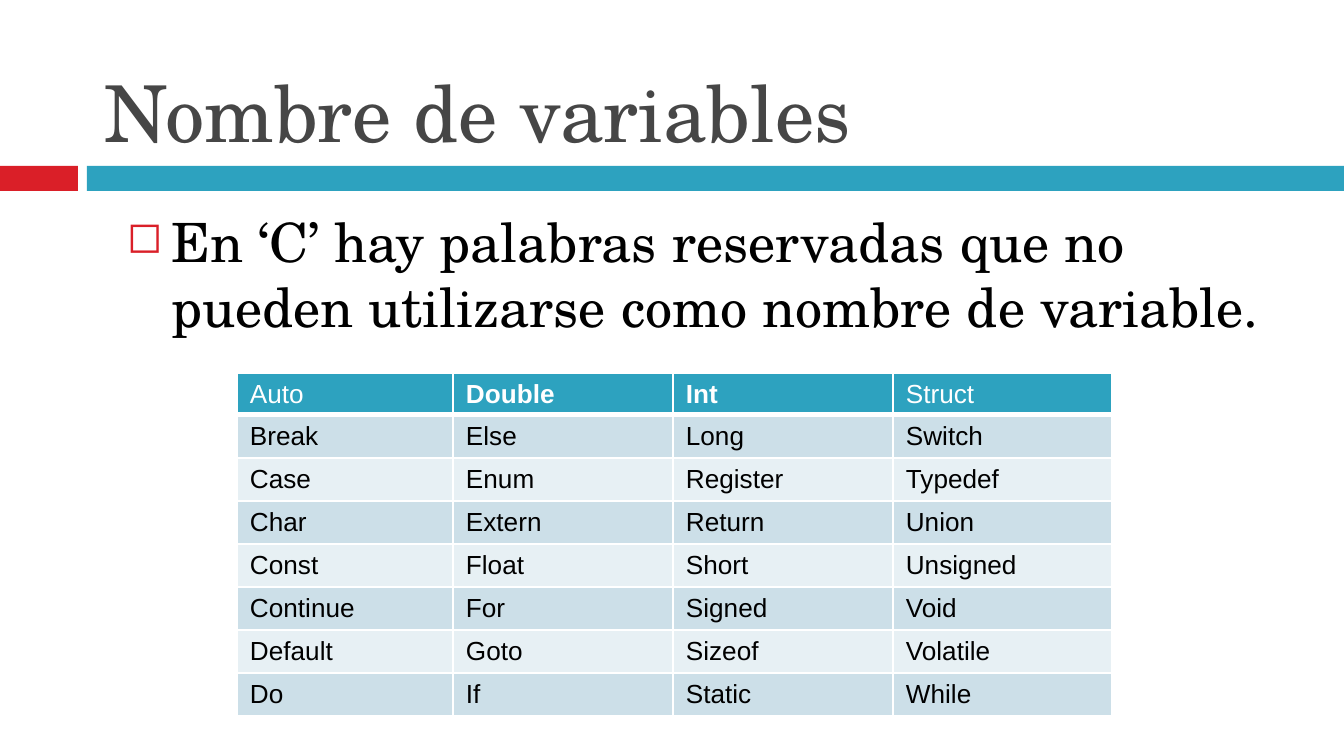
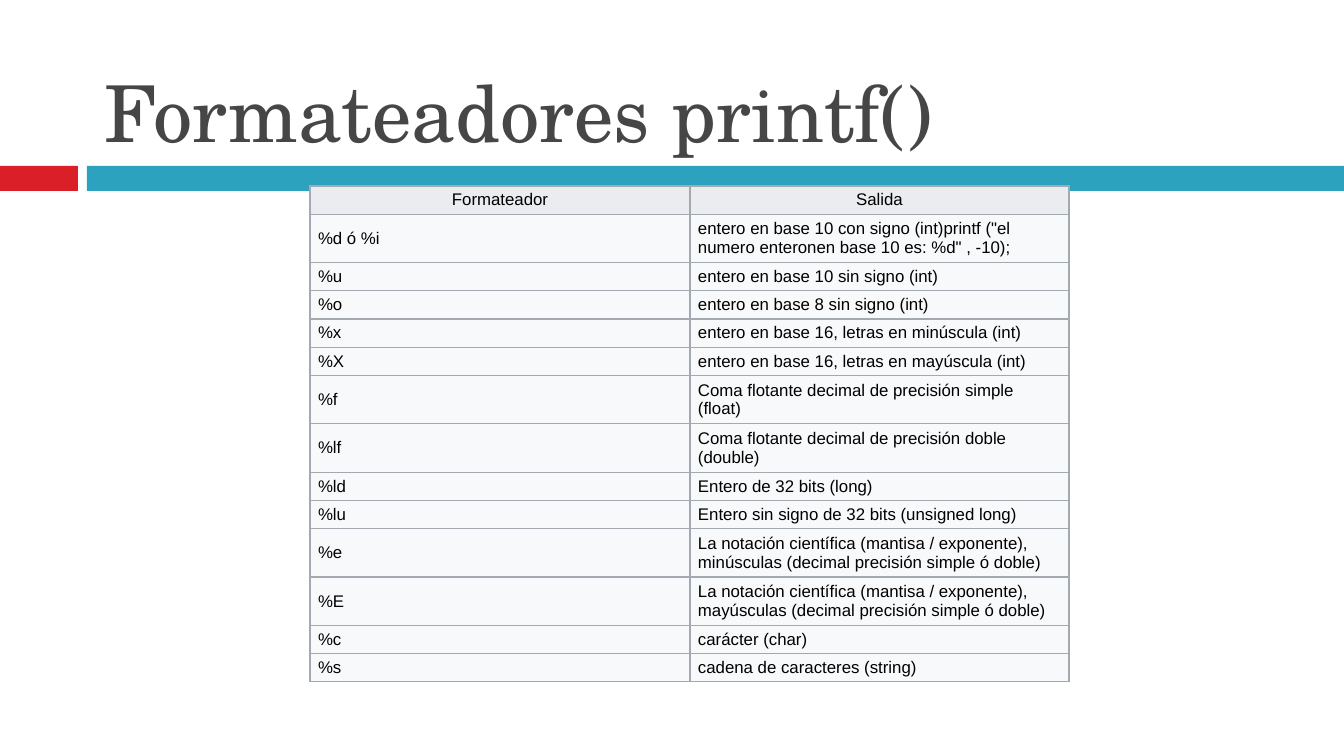
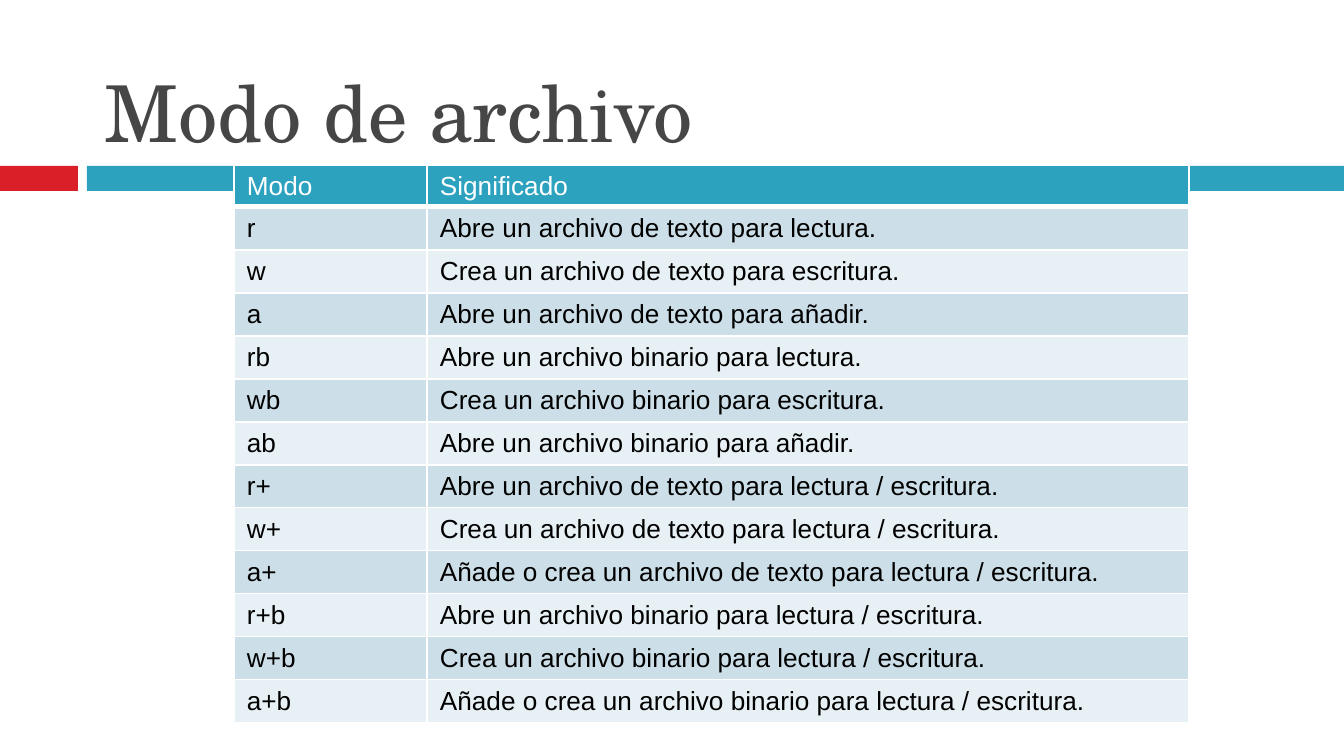
from dataclasses import dataclass

from lxml import etree
from pptx import Presentation
from pptx import util as u
from pptx.dml.color import RGBColor
from pptx.enum import shapes, text
from pptx.oxml import ns

EMU_PER_PX = 914400 / 134.4
WIDTH, HEIGHT = 1344, 756

WHITE = RGBColor(0xFF, 0xFF, 0xFF)
BLACK = RGBColor(0x00, 0x00, 0x00)
RED = RGBColor(0xDA, 0x1F, 0x28)
TEAL = RGBColor(0x2D, 0xA2, 0xBF)
TITLE_GREY = RGBColor(0x46, 0x46, 0x46)
BAND_DARK = RGBColor(0xCC, 0xDF, 0xE8)
BAND_LIGHT = RGBColor(0xE7, 0xF0, 0xF4)
WIKI_HEAD = RGBColor(0xEA, 0xEC, 0xF0)
WIKI_BODY = RGBColor(0xF8, 0xF9, 0xFA)
WIKI_LINE = RGBColor(0xA2, 0xA9, 0xB1)

SERIF, SANS = "TeX Gyre Schola", "Arial"
TITLE_BOX = (91, 17, 1198, 148)
BODY_BOX = (91, 201, 1198, 481)


@dataclass
class TableStyle:
    head_fill: RGBColor
    body_fills: tuple
    head_color: RGBColor
    line_color: RGBColor
    line: float
    head_line: float
    size: int
    inset: tuple
    anchor: text.MSO_ANCHOR
    head_align: text.PP_ALIGN


BANDED = TableStyle(TEAL, (BAND_DARK, BAND_LIGHT), WHITE, WHITE, 1, 3, 14, (13, 7, 3),
                    text.MSO_ANCHOR.TOP, text.PP_ALIGN.LEFT)
WIKI = TableStyle(WIKI_HEAD, (WIKI_BODY,), BLACK, WIKI_LINE, 0.75, 0.75, 9, (8, 4, 4),
                  text.MSO_ANCHOR.MIDDLE, text.PP_ALIGN.CENTER)

KEYWORDS = [
    ("Auto", "Double", "Int", "Struct"),
    ("Break", "Else", "Long", "Switch"),
    ("Case", "Enum", "Register", "Typedef"),
    ("Char", "Extern", "Return", "Union"),
    ("Const", "Float", "Short", "Unsigned"),
    ("Continue", "For", "Signed", "Void"),
    ("Default", "Goto", "Sizeof", "Volatile"),
    ("Do", "If", "Static", "While"),
]
FORMATTERS = [
    ("Formateador", "Salida"),
    ("%d ó %i", 'entero en base 10 con signo (int)printf ("el numero enteronen '
                'base 10 es: %d" , -10);'),
    ("%u", "entero en base 10 sin signo (int)"),
    ("%o", "entero en base 8 sin signo (int)"),
    ("%x", "entero en base 16, letras en minúscula (int)"),
    ("%X", "entero en base 16, letras en mayúscula (int)"),
    ("%f", "Coma flotante decimal de precisión simple (float)"),
    ("%lf", "Coma flotante decimal de precisión doble (double)"),
    ("%ld", "Entero de 32 bits (long)"),
    ("%lu", "Entero sin signo de 32 bits (unsigned long)"),
    ("%e", "La notación científica (mantisa / exponente), minúsculas "
           "(decimal precisión simple ó doble)"),
    ("%E", "La notación científica (mantisa / exponente), mayúsculas "
           "(decimal precisión simple ó doble)"),
    ("%c", "carácter (char)"),
    ("%s", "cadena de caracteres (string)"),
]
TALL_ROWS = {"%d ó %i": 48, "%f": 46, "%lf": 48, "%e": 48, "%E": 48}
FILE_MODES = [
    ("Modo", "Significado"),
    ("r", "Abre un archivo de texto para lectura."),
    ("w", "Crea un archivo de texto para escritura."),
    ("a", "Abre un archivo de texto para añadir."),
    ("rb", "Abre un archivo binario para lectura."),
    ("wb", "Crea un archivo binario para escritura."),
    ("ab", "Abre un archivo binario para añadir."),
    ("r+", "Abre un archivo de texto para lectura / escritura."),
    ("w+", "Crea un archivo de texto para lectura / escritura."),
    ("a+", "Añade o crea un archivo de texto para lectura / escritura."),
    ("r+b", "Abre un archivo binario para lectura / escritura."),
    ("w+b", "Crea un archivo binario para lectura / escritura."),
    ("a+b", "Añade o crea un archivo binario para lectura / escritura."),
]


def px(length):
    return u.Emu(round(length * EMU_PER_PX))


def set_all(target, **values):
    for name, value in values.items():
        setattr(target, name, value)


def add_element(parent, tag, **attributes):
    values = {name: str(value) for name, value in attributes.items()}
    return etree.SubElement(parent, ns.qn(tag), values)


def set_inset(target, across, top, bottom):
    set_all(target, margin_left=px(across), margin_right=px(across),
            margin_top=px(top), margin_bottom=px(bottom))


def write(para, words, font, size, color, bold=False):
    span = para.add_run()
    span.text = words
    set_all(span.font, name=font, size=u.Pt(size), bold=bold)
    span.font.color.rgb = color


def add_text(page, box, words, size, color, anchor):
    """Add a serif text box and return its paragraph."""
    frame = page.shapes.add_textbox(*map(px, box)).text_frame
    set_all(frame, word_wrap=True, vertical_anchor=anchor)
    set_inset(frame, 13, 7, 7)
    para = frame.paragraphs[0]
    write(para, words, SERIF, size, color)
    return para


def add_bands(page, top=166, height=25):
    for left, right, color in ((0, 78, RED), (87, WIDTH, TEAL)):
        band = page.shapes.add_shape(shapes.MSO_SHAPE.RECTANGLE, px(left), px(top),
                                     px(right - left), px(height))
        band.shadow.inherit = False
        band.fill.solid()
        band.fill.fore_color.rgb = color
        band.line.fill.background()


def add_page(deck, title):
    page = deck.slides.add_slide(deck.slide_layouts[6])
    add_bands(page)
    add_text(page, TITLE_BOX, title, 42, TITLE_GREY, text.MSO_ANCHOR.BOTTOM)
    return page


def add_bullet(page, box, words):
    para = add_text(page, box, words, 29, BLACK, text.MSO_ANCHOR.TOP)
    para.space_before = u.Pt(7)
    properties = para._p.get_or_add_pPr()
    properties.set("marL", str(px(67)))
    properties.set("indent", str(px(-44)))
    add_element(add_element(properties, "a:buClr"), "a:srgbClr", val=RED)
    add_element(properties, "a:buSzPct", val=80000)
    add_element(properties, "a:buChar", char="◻")


def set_borders(cell, color, top, bottom, side):
    properties = cell._tc.get_or_add_tcPr()
    for edge, width in (("L", side), ("R", side), ("T", top), ("B", bottom)):
        line = add_element(properties, f"a:ln{edge}", w=u.Pt(width))
        add_element(add_element(line, "a:solidFill"), "a:srgbClr", val=color)


def fill_cell(cell, words, row, style, bold):
    head = row == 0
    set_borders(cell, style.line_color,
                top=style.head_line if row == 1 else style.line,
                bottom=style.head_line if head else style.line, side=style.line)
    cell.fill.solid()
    body_fill = style.body_fills[(row - 1) % len(style.body_fills)]
    cell.fill.fore_color.rgb = style.head_fill if head else body_fill
    cell.vertical_anchor = style.anchor
    set_inset(cell, *style.inset)
    para = cell.text_frame.paragraphs[0]
    para.alignment = style.head_align if head else text.PP_ALIGN.LEFT
    write(para, words, SANS, style.size, style.head_color if head else BLACK, bold)


def add_grid(page, left, top, widths, heights, rows, style, bold_heads=()):
    frame = page.shapes.add_table(len(rows), len(widths), px(left), px(top),
                                  px(sum(widths)), px(sum(heights)))
    table = frame.table
    table.horz_banding = False
    for column, width in zip(table.columns, widths):
        column.width = px(width)
    for row, (height, entries) in enumerate(zip(heights, rows)):
        table.rows[row].height = px(height)
        for column, words in enumerate(entries):
            fill_cell(table.cell(row, column), words, row, style,
                      bold=row == 0 and words in bold_heads)


def banded_heights(rows):
    return [42] + [43] * (len(rows) - 1)


def keywords_slide(deck):
    page = add_page(deck, "Nombre de variables")
    add_bullet(page, BODY_BOX, "En ‘C’ hay palabras reservadas que no pueden "
                               "utilizarse como nombre de variable.")
    add_grid(page, 237, 373, [216, 220, 220, 219], banded_heights(KEYWORDS), KEYWORDS,
             BANDED, bold_heads=("Double", "Int"))


def formatters_slide(deck):
    page = add_page(deck, "Formateadores printf()")
    heights = [TALL_ROWS.get(code, 28) for code, _ in FORMATTERS]
    add_grid(page, 310, 186, [380, 379], heights, FORMATTERS, WIKI)


def file_modes_slide(deck):
    page = add_page(deck, "Modo de archivo")
    add_grid(page, 234, 165, [193, 762], banded_heights(FILE_MODES), FILE_MODES, BANDED)


def main():
    deck = Presentation()
    set_all(deck, slide_width=px(WIDTH), slide_height=px(HEIGHT))
    for build in (keywords_slide, formatters_slide, file_modes_slide):
        build(deck)
    deck.save("out.pptx")


if __name__ == "__main__":
    main()
